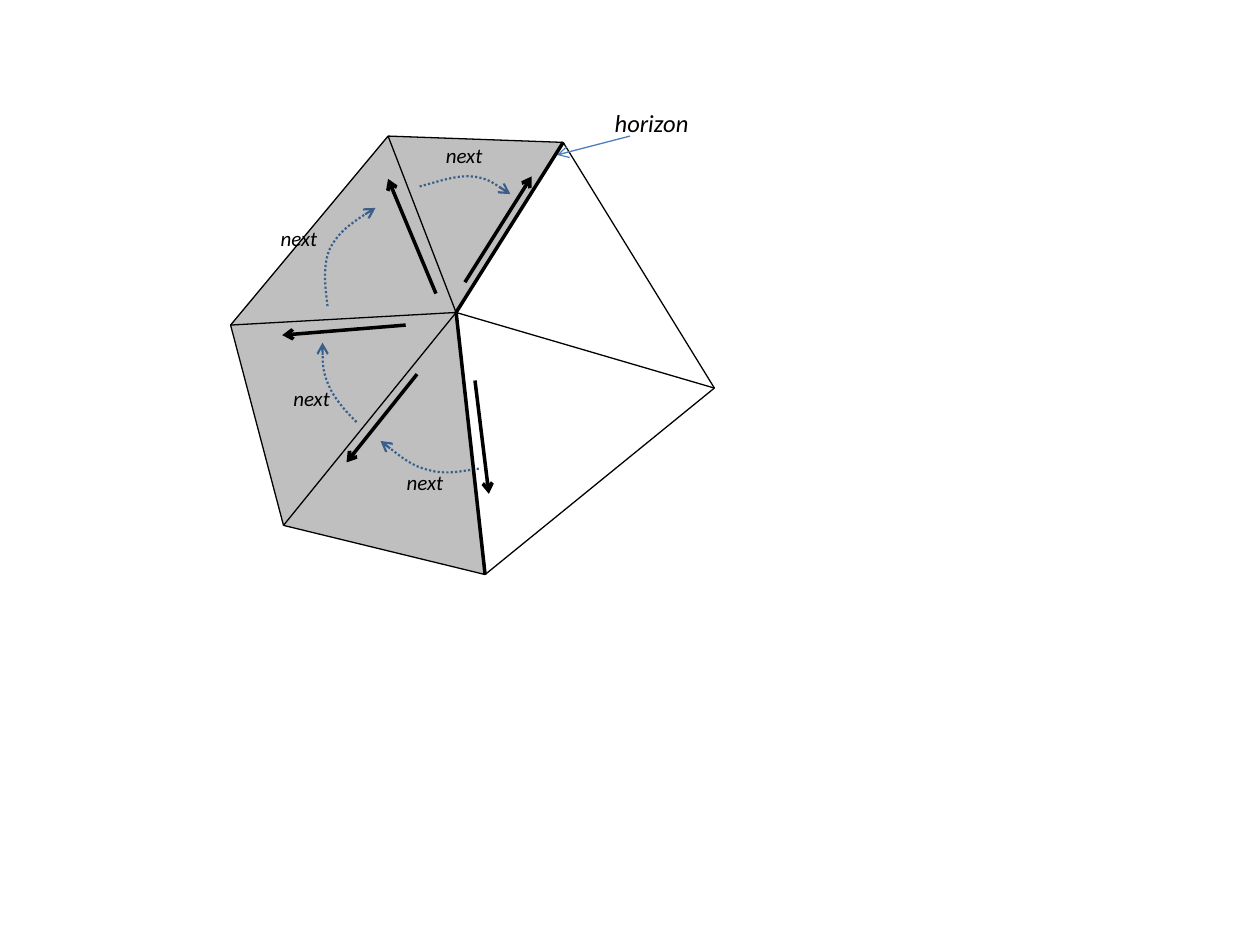
"""Build a slide of a triangle fan with its horizon and next-edge arrows."""
from lxml import etree
from pptx import Presentation
from pptx.dml.color import RGBColor
from pptx.enum.dml import MSO_LINE
from pptx.enum.shapes import MSO_CONNECTOR
from pptx.enum.text import MSO_AUTO_SIZE
from pptx.oxml.ns import qn
from pptx.util import Inches, Pt

STRAIGHT = MSO_CONNECTOR.STRAIGHT
SYS_DOT = MSO_LINE.ROUND_DOT
FIT_TEXT = MSO_AUTO_SIZE.SHAPE_TO_FIT_TEXT
BLACK = RGBColor(0x00, 0x00, 0x00)
GRAY = RGBColor(0xBF, 0xBF, 0xBF)
DARK_BLUE = RGBColor(0x3A, 0x5F, 0x8C)
BLUE = RGBColor(0x4B, 0x7E, 0xBC)


def trace(points, close=False):
    corners = [(Inches(x), Inches(y)) for x, y in points]
    builder = slide.shapes.build_freeform(*corners[0])
    builder.add_line_segments(corners[1:], close=close)
    outline = builder.convert_to_shape()
    outline.shadow.inherit = False
    outline.fill.background()
    return outline


def stroke(shape, color, width, arrow=False, dash=None):
    shape.line.color.rgb = color
    shape.line.width = Pt(width)
    if dash:
        shape.line.dash_style = dash
    properties = shape._element.spPr
    if arrow:
        etree.SubElement(properties.find(qn("a:ln")), qn("a:tailEnd"), type="arrow")
    if properties.find(qn("a:effectLst")) is None:
        etree.SubElement(properties, qn("a:effectLst"))


prs = Presentation()
prs.slide_width, prs.slide_height = Inches(10), Inches(7.5)
slide = prs.slides.add_slide(prs.slide_layouts[6])

hub = (3.62, 2.48)
top_right, top_left = (4.47, 1.13), (3.08, 1.08)
left, bottom_left = (1.83, 2.58), (2.25, 4.17)
bottom, right = (3.85, 4.56), (5.67, 3.08)

visible_faces = trace([top_right, top_left, left, bottom_left, bottom, hub], close=True)
visible_faces.fill.solid()
visible_faces.fill.fore_color.rgb = GRAY
visible_faces.line.fill.background()

rim = [top_right, top_left, left, bottom_left, bottom, right]
rim_edges = list(zip(rim, rim[1:] + rim[:1]))
spokes = [(hub, vertex) for vertex in (top_left, left, bottom_left, right)]
half_edges = [
    ((3.77, 3.02), (3.88, 3.92)),
    ((3.31, 2.97), (2.75, 3.67)),
    ((3.22, 2.58), (2.24, 2.66)),
    ((3.46, 2.33), (3.08, 1.42)),
    ((3.69, 2.24), (4.22, 1.4)),
]
horizon_pointer = [((5, 1.08), (4.42, 1.23))]
for segments, color, width, arrow in [
    (rim_edges + spokes, BLACK, 0.75, False),
    (half_edges, BLACK, 2, True),
    (horizon_pointer, BLUE, 0.75, True),
]:
    for start, end in segments:
        ends = [Inches(value) for value in start + end]
        stroke(slide.shapes.add_connector(STRAIGHT, *ends), color, width, arrow)

next_curves = [
    [(3.8, 3.72), (3.66, 3.74), (3.53, 3.77), (3.4, 3.73),
     (3.27, 3.7), (3.15, 3.6), (3.02, 3.5)],
    [(2.83, 3.35), (2.74, 3.26), (2.65, 3.16), (2.61, 3.06),
     (2.56, 2.95), (2.56, 2.83), (2.56, 2.72)],
    [(2.6, 2.43), (2.58, 2.27), (2.56, 2.1), (2.62, 1.97),
     (2.69, 1.84), (2.83, 1.74), (2.98, 1.65)],
    [(3.33, 1.48), (3.48, 1.44), (3.62, 1.39), (3.74, 1.4),
     (3.86, 1.41), (3.96, 1.48), (4.05, 1.54)],
]
for control_points in next_curves:
    curve = trace(control_points)
    route = curve._element.spPr.find(".//" + qn("a:path"))
    steps = route.findall(qn("a:lnTo"))
    for first in range(0, len(steps), 3):
        bezier = etree.SubElement(route, qn("a:cubicBezTo"))
        for step in steps[first:first + 3]:
            bezier.append(step[0])
            route.remove(step)
    stroke(curve, DARK_BLUE, 1.25, True, SYS_DOT)

stroke(trace([top_right, hub, bottom]), BLACK, 2)

for wording, x, y, width, height, size in [
    ("next", 3.13, 3.68, 0.5, 0.3, 12),
    ("next", 2.23, 3.01, 0.5, 0.3, 12),
    ("next", 2.13, 1.74, 0.5, 0.3, 12),
    ("next", 3.44, 1.08, 0.5, 0.3, 12),
    ("horizon", 4.78, 0.81, 0.79, 0.34, 14),
]:
    label = slide.shapes.add_textbox(Inches(x), Inches(y), Inches(width), Inches(height))
    label.text_frame.word_wrap = False
    label.text_frame.auto_size = FIT_TEXT
    run = label.text_frame.paragraphs[0].add_run()
    run.text = wording
    run.font.name = "Calibri"
    run.font.size = Pt(size)
    run.font.italic = True
    run.font.color.rgb = BLACK

prs.save("out.pptx")
